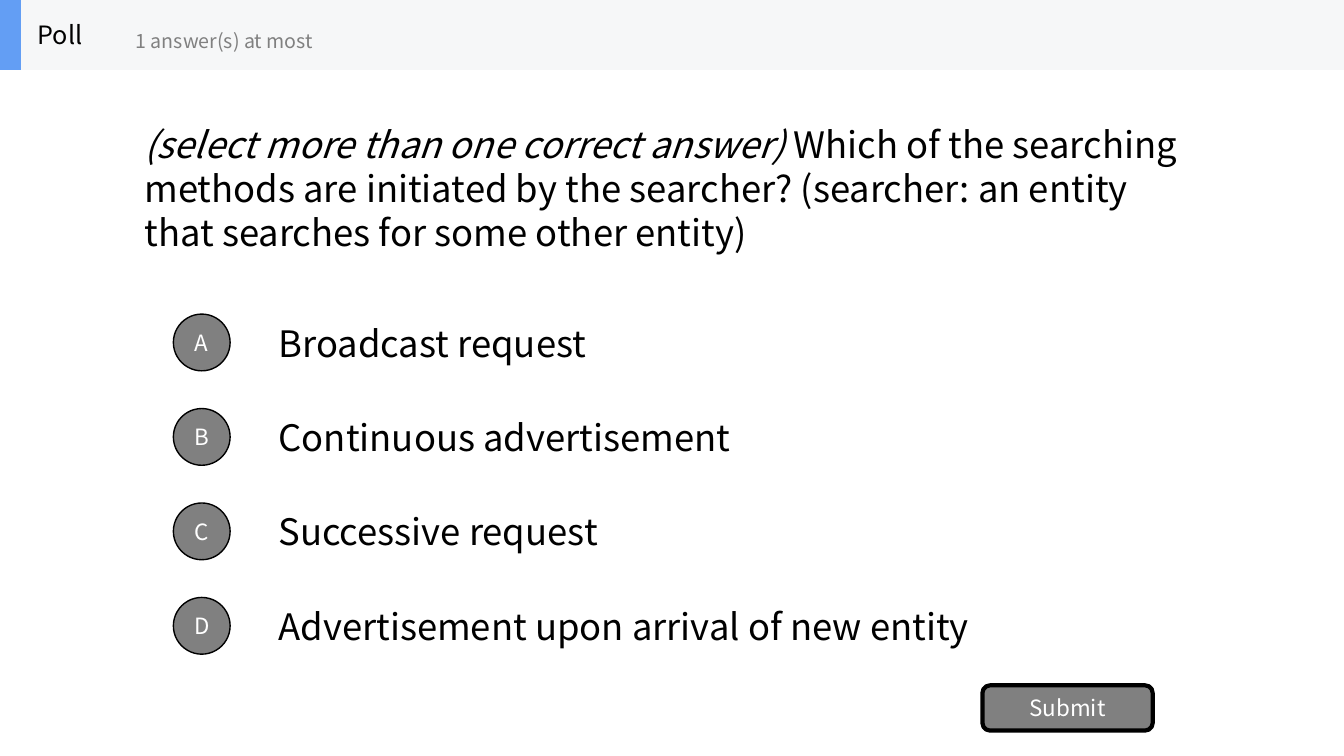
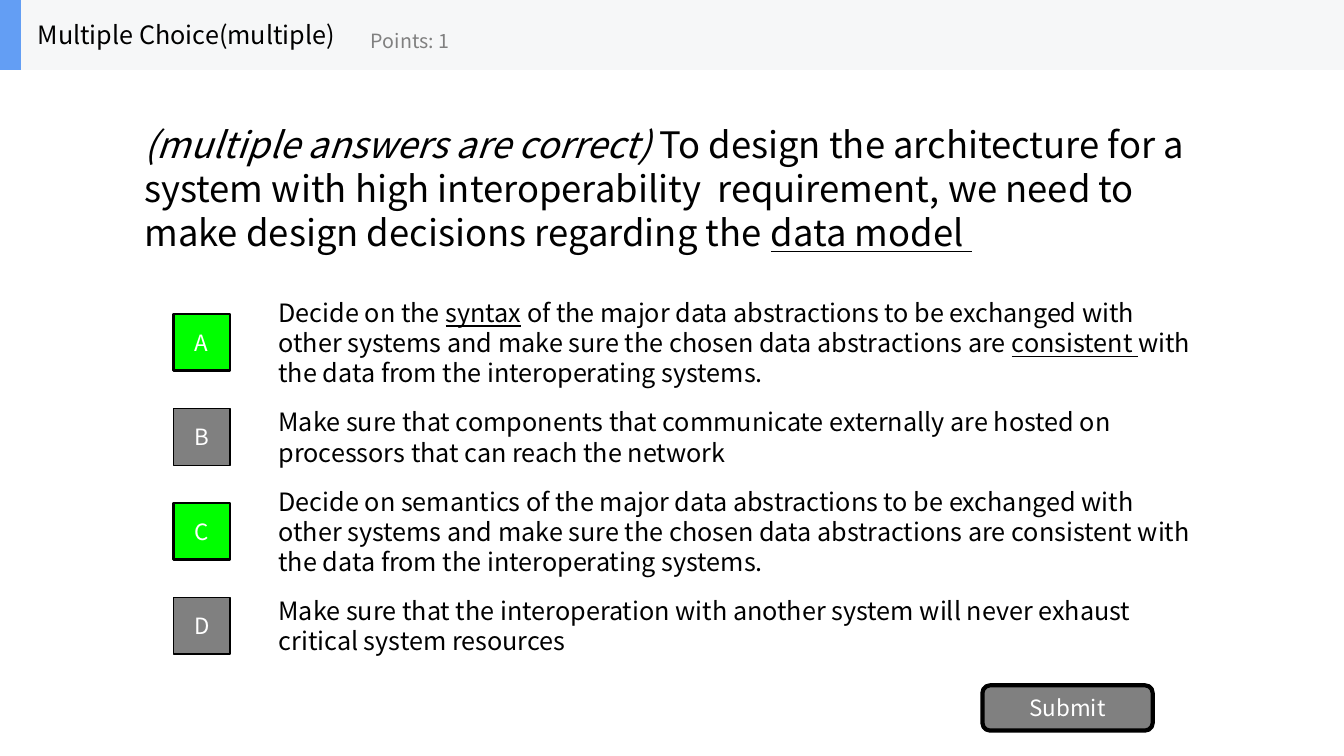
"""Build two quiz slides: a poll and a multiple choice question."""
import pptx
import pptx.dml.color
import pptx.enum.shapes
import pptx.enum.text
import pptx.util
from pptx.util import Cm, Pt

SHAPES = pptx.enum.shapes.MSO_SHAPE
ALIGN = pptx.enum.text.PP_ALIGN
FONT = "Noto Sans CJK SC"
COLORS = {
    "black": "000000",
    "white": "FFFFFF",
    "gray": "808080",
    "correct": "00FF00",
    "band": "F6F7F8",
    "accent": "639EF4",
}

QUIZZES = [
    {
        "kind": "Poll",
        "hint": "1 answer(s) at most",
        "hint_left": 3.17,
        "question": [
            ("(select more than one correct answer) ", "italic"),
            ("Which of the searching methods are initiated by the searcher? "
             "(searcher: an entity that searches for some other entity)", ""),
        ],
        "marker": SHAPES.OVAL,
        "option_size": 26,
        "correct": "",
        "options": [
            [("Broadcast request", "")],
            [("Continuous advertisement", "")],
            [("Successive request", "")],
            [("Advertisement upon arrival of new entity", "")],
        ],
    },
    {
        "kind": "Multiple Choice(multiple)",
        "hint": "Points: 1",
        "hint_left": 9.1,
        "question": [
            ("(multiple answers are correct) ", "italic"),
            ("To design the architecture for a system with high interoperability  "
             "requirement, we need to make design decisions regarding the ", ""),
            ("data model ", "underline"),
        ],
        "marker": SHAPES.RECTANGLE,
        "option_size": 18,
        "correct": "AC",
        "options": [
            [
                ("Decide on the ", ""),
                ("syntax", "underline"),
                (" of the major data abstractions to be exchanged with other systems "
                 "and make sure the chosen data abstractions are ", ""),
                ("consistent ", "underline"),
                ("with the data from the interoperating systems.", ""),
            ],
            [("Make sure that components that communicate externally are hosted on "
              "processors that can reach the network", "")],
            [("Decide on semantics of the major data abstractions to be exchanged with "
              "other systems and make sure the chosen data abstractions are consistent "
              "with the data from the interoperating systems.", "")],
            [("Make sure that the interoperation with another system will never exhaust "
              "critical system resources", "")],
        ],
    },
]

SLIDE_WIDTH, SLIDE_HEIGHT = 33.87, 19.05
HEADER_HEIGHT = 1.76
KIND_LEFT = 0.7
OPTION_TOP, OPTION_PITCH, OPTION_HEIGHT = 7.74, 2.38, 1.78
MARKER_SIZE = 1.43


def rgb(name):
    return pptx.dml.color.RGBColor.from_string(COLORS[name])


def write(shape, runs, size, color="black", align=ALIGN.LEFT, wrap=True):
    frame = shape.text_frame
    frame.word_wrap = wrap
    frame.vertical_anchor = pptx.enum.text.MSO_ANCHOR.MIDDLE
    paragraph = frame.paragraphs[0]
    paragraph.alignment = align
    for text, style in runs:
        run = paragraph.add_run()
        run.text = text
        run.font.name = FONT
        run.font.size = Pt(size)
        run.font.color.rgb = rgb(color)
        if style:
            setattr(run.font, style, True)


def add_text(shapes, box, runs, size, **style):
    write(shapes.add_textbox(*map(Cm, box)), runs, size, **style)


def add_filled(shapes, preset, box, fill, line_width=0):
    shape = shapes.add_shape(preset, *map(Cm, box))
    shape.shadow.inherit = False
    shape.fill.solid()
    shape.fill.fore_color.rgb = rgb(fill)
    if line_width:
        shape.line.color.rgb = rgb("black")
        shape.line.width = Pt(line_width)
    else:
        shape.line.fill.background()
    return shape


def add_button(shapes, preset, box, label, fill, line_width):
    shape = add_filled(shapes, preset, box, fill, line_width)
    frame = shape.text_frame
    frame.margin_left = frame.margin_right = 0
    frame.margin_top = frame.margin_bottom = 0
    write(shape, [(label, "")], 16, color="white", align=ALIGN.CENTER)


def add_header(slide, quiz):
    shapes = slide.shapes.add_group_shape().shapes
    for width, fill in ((SLIDE_WIDTH, "band"), (0.53, "accent")):
        add_filled(shapes, SHAPES.RECTANGLE, (0, 0, width, HEADER_HEIGHT), fill)
    hint_left = quiz["hint_left"]
    add_text(shapes, (KIND_LEFT, 0, hint_left - KIND_LEFT, HEADER_HEIGHT),
             [(quiz["kind"], "")], 18, wrap=False)
    add_text(shapes, (hint_left, 0.3, 6.35, 1.43), [(quiz["hint"], "")], 14,
             color="gray", wrap=False)


def add_quiz(presentation, quiz):
    slide = presentation.slides.add_slide(presentation.slide_layouts[6])
    shapes = slide.shapes
    add_text(shapes, (3.39, HEADER_HEIGHT, 27.1, 5.95), quiz["question"], 26)
    for index, (letter, runs) in enumerate(zip("ABCD", quiz["options"])):
        top = OPTION_TOP + index * OPTION_PITCH
        add_text(shapes, (6.77, top, 23.7, OPTION_HEIGHT), runs, quiz["option_size"])
        marker_top = top + (OPTION_HEIGHT - MARKER_SIZE) / 2
        fill, line_width = ("correct", 2) if letter in quiz["correct"] else ("gray", 1)
        add_button(shapes, quiz["marker"], (4.37, marker_top, MARKER_SIZE, MARKER_SIZE),
                   letter, fill, line_width)
    add_button(shapes, SHAPES.ROUNDED_RECTANGLE, (24.76, 17.27, 4.29, 1.14),
               "Submit", "gray", 3)
    add_header(slide, quiz)


def main():
    presentation = pptx.Presentation()
    presentation.slide_width = Cm(SLIDE_WIDTH)
    presentation.slide_height = Cm(SLIDE_HEIGHT)
    for quiz in QUIZZES:
        add_quiz(presentation, quiz)
    presentation.save("out.pptx")


if __name__ == "__main__":
    main()
